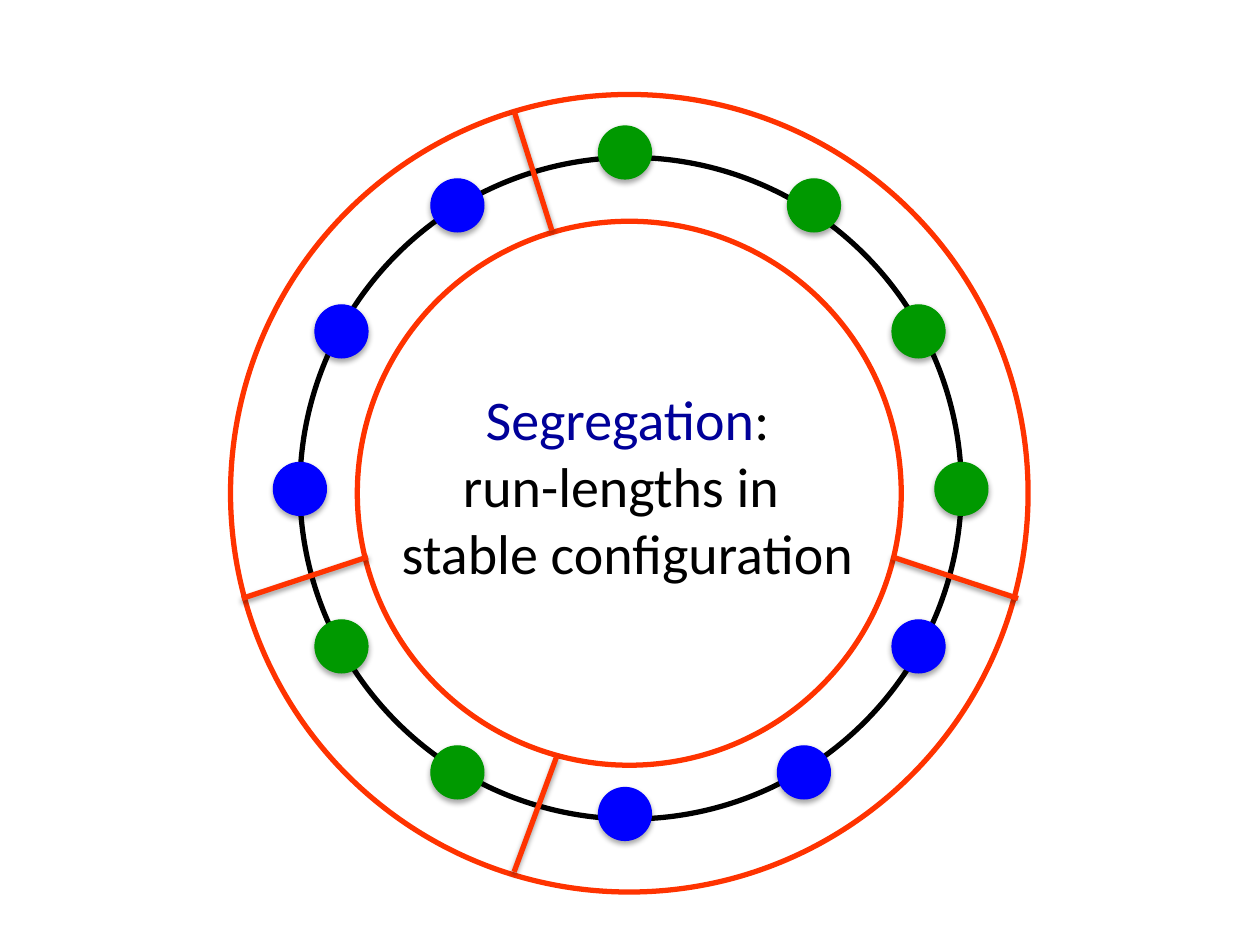
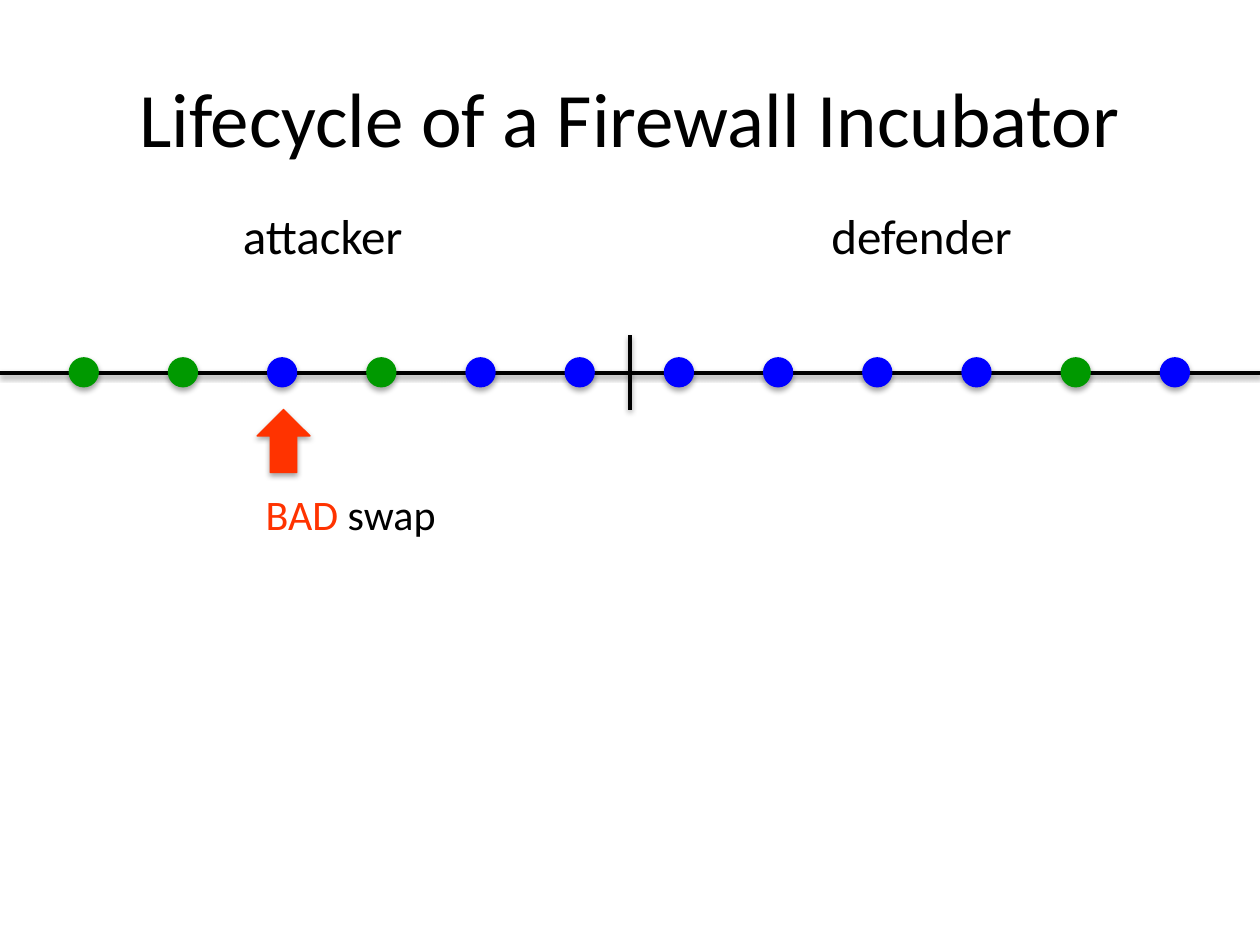
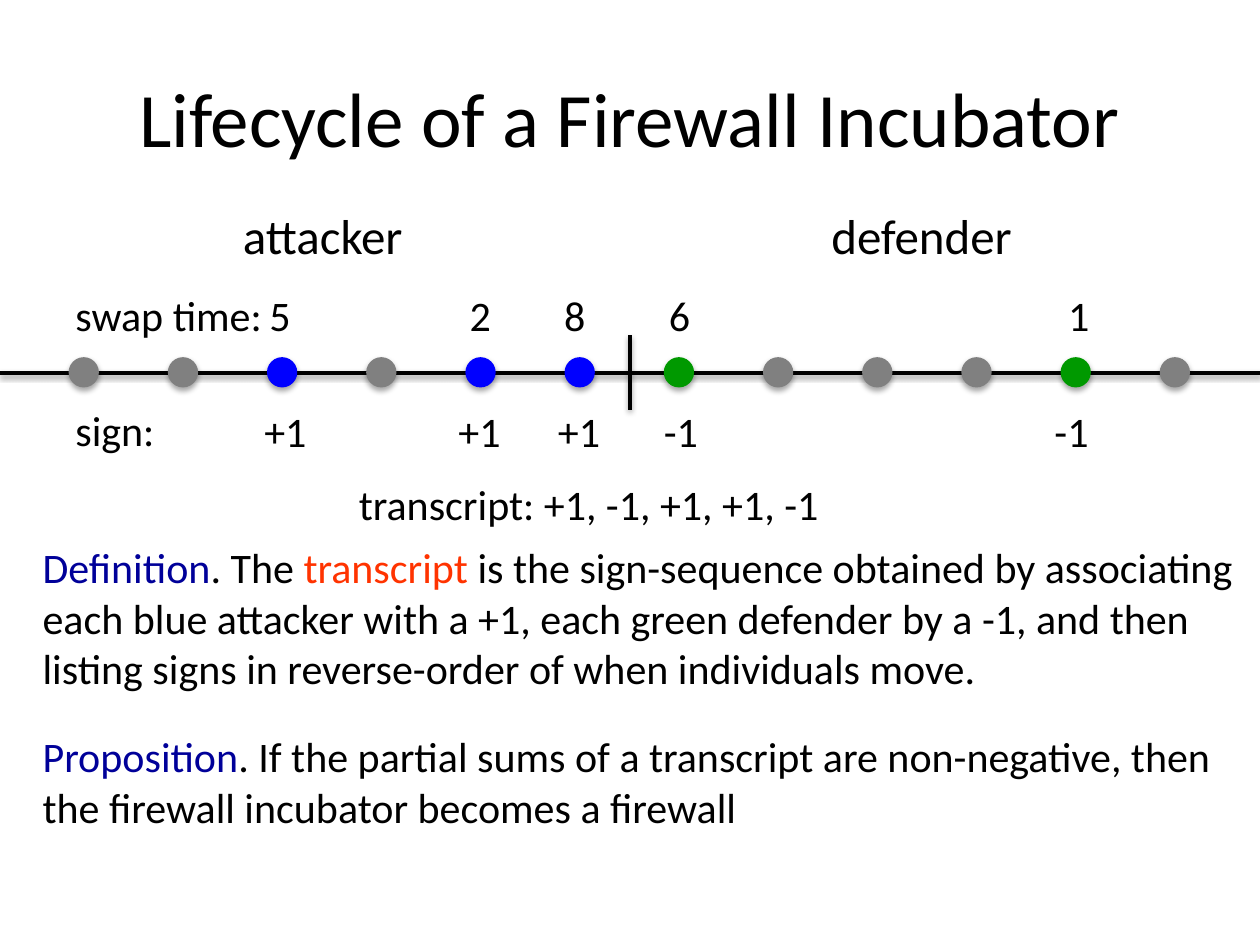
"""Build three slides on segregation and the lifecycle of a firewall incubator."""
from lxml import etree
from pptx import Presentation
from pptx.dml.color import RGBColor
from pptx.enum.shapes import MSO_CONNECTOR, MSO_SHAPE
from pptx.enum.text import MSO_ANCHOR, MSO_AUTO_SIZE, PP_ALIGN
from pptx.oxml.ns import qn
from pptx.util import Inches, Pt

BLACK = RGBColor(0x00, 0x00, 0x00)
BLUE = RGBColor(0x00, 0x00, 0xFF)
GREEN = RGBColor(0x00, 0x99, 0x00)
GRAY = RGBColor(0x80, 0x80, 0x80)
NAVY = RGBColor(0x00, 0x00, 0x99)
RED = RGBColor(0xFF, 0x33, 0x00)
DOT_COLORS = {"B": BLUE, "G": GREEN, "-": GRAY}

OVAL, DONUT, UP_ARROW = MSO_SHAPE.OVAL, MSO_SHAPE.DONUT, MSO_SHAPE.UP_ARROW
STRAIGHT = MSO_CONNECTOR.STRAIGHT
LEFT, CENTER = PP_ALIGN.LEFT, PP_ALIGN.CENTER
TOP, MIDDLE = MSO_ANCHOR.TOP, MSO_ANCHOR.MIDDLE
NO_FIT, FIT_SHAPE = MSO_AUTO_SIZE.NONE, MSO_AUTO_SIZE.SHAPE_TO_FIT_TEXT


def add_text(p, text, size=24, color=BLACK, font="Calibri"):
    """Append text to a paragraph, turning newlines into line breaks."""
    for i, line in enumerate(text.split("\n")):
        if i:
            p.add_line_break()
        r = p.add_run()
        r.text = line
        r.font.name = font
        r.font.size = Pt(size)
        r.font.color.rgb = color


def set_shadow(sp, dist=0, alpha=0):
    """Give a shape or connector a soft downward shadow, or none when dist is 0."""
    effects = etree.SubElement(sp._element.spPr, qn("a:effectLst"))
    if dist:
        shadow = etree.SubElement(effects, qn("a:outerShdw"), blurRad="40000",
                                  dist=str(dist), dir="5400000", rotWithShape="0")
        color = etree.SubElement(shadow, qn("a:srgbClr"), val=str(BLACK))
        etree.SubElement(color, qn("a:alpha"), val=str(alpha * 1000))


class Deck:
    """Hold the presentation, its style and the current slide."""

    def __init__(self):
        self.prs = Presentation()
        self.prs.slide_width, self.prs.slide_height = Inches(10), Inches(7.5)
        self.s = None

    def new_slide(self):
        """Start a blank slide."""
        self.s = self.prs.slides.add_slide(self.prs.slide_layouts[6])

    def text(self, x, y, w, h, *paragraphs, size=24, align=LEFT, anchor=TOP, wrap=False):
        """Add a text box; a paragraph is a string or a list of (text, color)."""
        tf = self.s.shapes.add_textbox(Inches(x), Inches(y), Inches(w), Inches(h)).text_frame
        tf.word_wrap = wrap
        tf.auto_size = NO_FIT if wrap else FIT_SHAPE
        tf.vertical_anchor = anchor
        for i, runs in enumerate(paragraphs):
            p = tf.add_paragraph() if i else tf.paragraphs[0]
            p.alignment = align
            for text, color in [(runs, BLACK)] if isinstance(runs, str) else runs:
                add_text(p, text, size=size, color=color)

    def title(self, text):
        """Add the slide title."""
        self.text(0.5, 0.3, 9, 1.25, text, size=44, align=CENTER, anchor=MIDDLE, wrap=True)

    def solid(self, kind, x, y, w, h, color):
        """Add a filled shape with a shadow."""
        sp = self.s.shapes.add_shape(kind, Inches(x), Inches(y), Inches(w), Inches(h))
        sp.fill.solid()
        sp.fill.fore_color.rgb = color
        sp.line.color.rgb = color
        sp.line.width = Pt(0.75)
        set_shadow(sp, dist=23000, alpha=35)

    def ring(self, kind, x, y, size, color):
        """Add an unfilled round outline."""
        sp = self.s.shapes.add_shape(kind, Inches(x), Inches(y), Inches(size), Inches(size))
        sp.fill.background()
        sp.line.color.rgb = color
        sp.line.width = Pt(3)
        set_shadow(sp)
        return sp

    def line(self, x1, y1, x2, y2, color=BLACK, width=2):
        """Add a straight line with a shadow."""
        sp = self.s.shapes.add_connector(STRAIGHT, Inches(x1), Inches(y1), Inches(x2), Inches(y2))
        sp.line.color.rgb = color
        sp.line.width = Pt(width)
        set_shadow(sp, dist=20000, alpha=38)

    def incubator(self, dots):
        """Start a slide with the title and the attacker and defender line."""
        self.new_slide()
        self.title("Lifecycle of a Firewall Incubator")
        self.line(0, 2.96, 10, 2.96)
        first, last = 0.55, 9.21
        step = (last - first) / (len(dots) - 1)
        for i, dot in enumerate(dots):
            self.solid(OVAL, first + i * step, 2.84, 0.23, 0.23, DOT_COLORS[dot])
        self.line(5, 2.66, 5, 3.25)
        self.text(1.83, 1.58, 1.5, 0.57, "attacker", size=28)
        self.text(6.5, 1.58, 1.66, 0.57, "defender", size=28)


def segregation_slide(deck):
    """Draw the ring of individuals divided into runs."""
    deck.new_slide()
    deck.ring(OVAL, 2.38, 1.25, 5.25, BLACK)
    individuals = {
        "G": [(4.75, 1), (6.25, 1.42), (7.08, 2.42), (7.42, 3.67), (3.42, 5.92), (2.5, 4.92)],
        "B": [(7.08, 4.92), (6.17, 5.92), (4.75, 6.25), (2.17, 3.67), (2.5, 2.42), (3.42, 1.42)],
    }
    for dot, places in individuals.items():
        for x, y in places:
            deck.solid(OVAL, x, y, 0.42, 0.42, DOT_COLORS[dot])
    deck.text(3.01, 3, 3.94, 1.72, [("Segregation", NAVY), (":", BLACK)],
              "run-lengths in \nstable configuration", size=32, align=CENTER)
    deck.ring(DONUT, 1.83, 0.75, 6.33, RED).adjustments[0] = 0.159
    for ends in [(4.08, 0.88, 4.38, 1.83), (1.92, 4.75, 2.92, 4.42),
                 (4.42, 6, 4.08, 6.92), (7.08, 4.42, 8.08, 4.75)]:
        deck.line(*ends, color=RED, width=3)


def bad_swap_slide(deck):
    """Point out a bad swap among the attackers."""
    deck.incubator("GGBGBBBBBBGB")
    deck.solid(UP_ARROW, 2.04, 3.25, 0.42, 0.5, RED)
    deck.text(2.01, 3.83, 1.57, 0.5, [("BAD", RED), (" swap", BLACK)])


def transcript_slide(deck):
    """Show swap times and signs, and define the transcript."""
    deck.incubator("--B-BBG---G-")
    deck.text(0.5, 2.25, 1.7, 0.5, "swap time:")
    for x, time in [(2.04, "5"), (3.63, "2"), (4.38, "8"), (5.21, "6"), (8.38, "1")]:
        deck.text(x, 2.25, 0.37, 0.5, time)
    deck.text(0.5, 3.16, 0.84, 0.5, "sign:")
    for x, sign in [(2, "+1"), (3.54, "+1"), (4.33, "+1"), (5.17, "-1"), (8.27, "-1")]:
        deck.text(x, 3.17, 0.54 if sign == "+1" else 0.48, 0.5, sign)
    deck.text(2.75, 3.75, 3.9, 0.5, "transcript: +1, -1, +1, +1, -1")
    deck.text(0.24, 4.25, 9.76, 1.31, [
        ("Definition", NAVY), (". The ", BLACK), ("transcript ", RED),
        ("is the sign-sequence obtained by associating\n"
         "each blue attacker with a +1, each green defender by a -1, and then\n"
         "listing signs in reverse-order of when individuals move.", BLACK)])
    deck.text(0.24, 5.75, 9.56, 0.91, [
        ("Proposition", NAVY),
        (". If the partial sums of a transcript are non-negative, then", BLACK)],
        "the firewall incubator becomes a firewall")


def main():
    """Build the slides and save the file."""
    deck = Deck()
    segregation_slide(deck)
    bad_swap_slide(deck)
    transcript_slide(deck)
    deck.prs.save("out.pptx")


if __name__ == "__main__":
    main()
